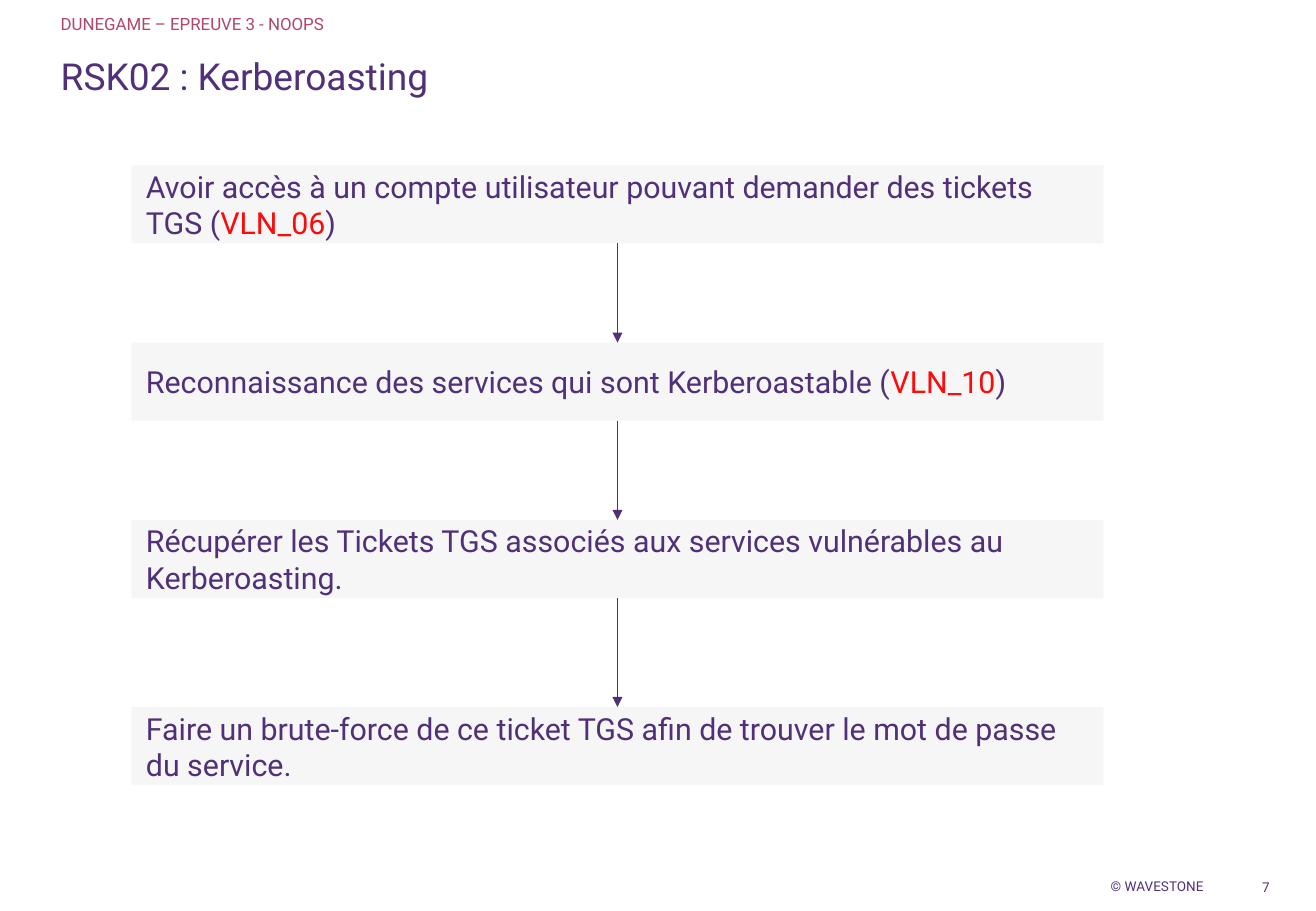
from dataclasses import dataclass

from lxml import etree
from pptx import Presentation
from pptx.dml.color import RGBColor
from pptx.enum.shapes import MSO_CONNECTOR, MSO_SHAPE
from pptx.enum.text import MSO_ANCHOR, PP_ALIGN
from pptx.oxml.ns import qn
from pptx.util import Pt

RECT = MSO_SHAPE.RECTANGLE
STRAIGHT = MSO_CONNECTOR.STRAIGHT
TOP, MIDDLE = MSO_ANCHOR.TOP, MSO_ANCHOR.MIDDLE
LEFT, RIGHT = PP_ALIGN.LEFT, PP_ALIGN.RIGHT
SITE_TOP, SITE_BOTTOM = 0, 2


@dataclass(frozen=True)
class Theme:
    font: str = "Roboto"
    purple: RGBColor = RGBColor(0x50, 0x30, 0x78)
    rose: RGBColor = RGBColor(0xB2, 0x46, 0x69)
    red: RGBColor = RGBColor(0xFF, 0x0A, 0x0A)
    panel: RGBColor = RGBColor(0xF6, 0xF6, 0xF6)
    title: int = 22
    step: int = 18
    kicker: int = 10
    footer: int = 8
    arrow: float = 0.75


THEME = Theme()

# Each step: its top within the flow, then runs of (text, colour)
STEPS = [
    (0, [("Avoir accès à un compte utilisateur pouvant demander des tickets TGS (", THEME.purple),
         ("VLN_06", THEME.red), (")", THEME.purple)]),
    (105.1, [("Reconnaissance des services qui sont Kerberoastable (", THEME.purple),
             ("VLN_10", THEME.red), (")", THEME.purple)]),
    (210.2, [("Récupérer les Tickets TGS associés aux services vulnérables au Kerberoasting.",
              THEME.purple)]),
    (321.1, [("Faire un brute-force de ce ticket TGS afin de trouver le mot de passe du service.",
              THEME.purple)]),
]
STEP_HEIGHT = 46.3


def write(sp, runs, size, align=LEFT, anchor=TOP, inset=(0, 0, 0, 0)):
    """Fill a shape with one paragraph of (text, colour) runs."""
    tf = sp.text_frame
    tf.word_wrap = True
    tf.vertical_anchor = anchor
    tf.margin_left, tf.margin_top, tf.margin_right, tf.margin_bottom = map(Pt, inset)
    p = tf.paragraphs[0]
    p.alignment = align
    for text, color in runs:
        r = p.add_run()
        r.text = text
        r.font.name = THEME.font
        r.font.size = Pt(size)
        r.font.color.rgb = color


def add_label(s, box, text, size, color=THEME.purple, **fmt):
    sp = s.shapes.add_textbox(*map(Pt, box))
    write(sp, [(text, color)], size, **fmt)


def add_header(s, left, top, width):
    # Section line above the slide title
    side = (8.5, 0, 8.5, 0)
    add_label(s, (left, top, width, 12), "DUNEGAME – EPREUVE 3 - NOOPS",
              THEME.kicker, THEME.rose, inset=side)
    add_label(s, (left, top + 23.5, width, 73.5), "RSK02 : Kerberoasting",
              THEME.title, inset=side)


def add_arrow(s, upper, lower):
    cx = s.shapes.add_connector(STRAIGHT, 0, 0, 0, 0)
    cx.begin_connect(upper, SITE_BOTTOM)
    cx.end_connect(lower, SITE_TOP)
    cx.line.color.rgb = THEME.purple
    cx.line.width = Pt(THEME.arrow)
    etree.SubElement(cx.line._get_or_add_ln(), qn("a:tailEnd"), type="triangle")
    etree.SubElement(cx._element.spPr, qn("a:effectLst"))


def add_flow(s, left, top, width):
    # Attack steps
    boxes = []
    for offset, runs in STEPS:
        sp = s.shapes.add_shape(RECT, Pt(left), Pt(top + offset), Pt(width), Pt(STEP_HEIGHT))
        sp.shadow.inherit = False
        sp.fill.solid()
        sp.fill.fore_color.rgb = THEME.panel
        sp.line.fill.background()
        write(sp, runs, THEME.step, anchor=MIDDLE, inset=(8.5, 5.7, 8.5, 5.7))
        boxes.append(sp)
    # Arrows from each step to the next
    for upper, lower in zip(boxes, boxes[1:]):
        add_arrow(s, upper, lower)


def add_footer(s, left, top, width, height):
    # Copyright on the left, page number on the right
    fmt = dict(align=RIGHT, inset=(0, 0, 0, 9.4))
    add_label(s, (left, top, 62.6, height), "© WAVESTONE", THEME.footer, **fmt)
    add_label(s, (left + width - 28, top, 28, height), "7", THEME.footer,
              anchor=MIDDLE, **fmt)


def main():
    prs = Presentation()
    prs.slide_width, prs.slide_height = Pt(780), Pt(540)
    s = prs.slides.add_slide(prs.slide_layouts[6])
    add_header(s, 27.5, 8.2, 725.5)
    add_flow(s, 78, 98, 576)
    add_footer(s, 650.9, 520.6, 101.6, 19.4)
    prs.save("out.pptx")


if __name__ == "__main__":
    main()
